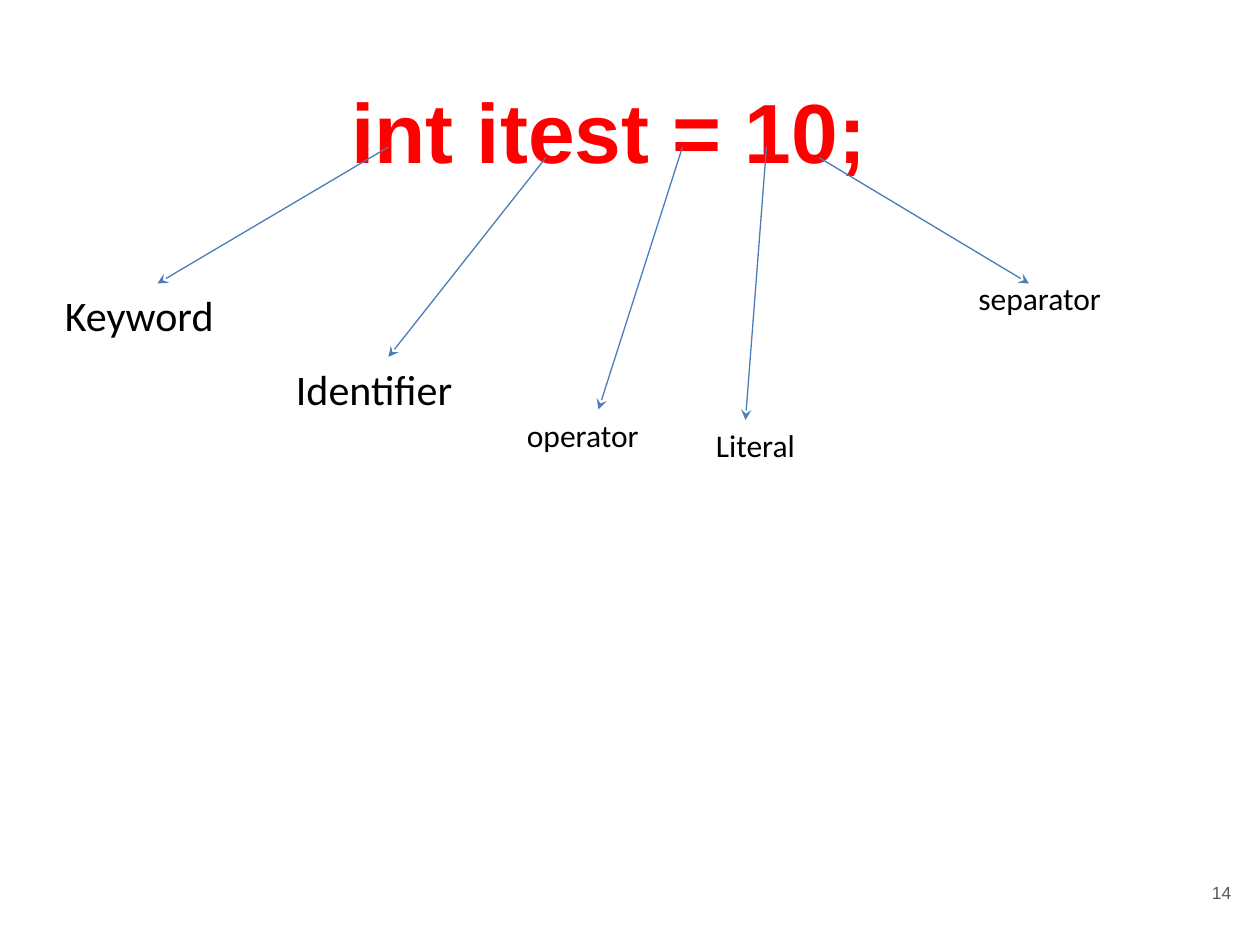
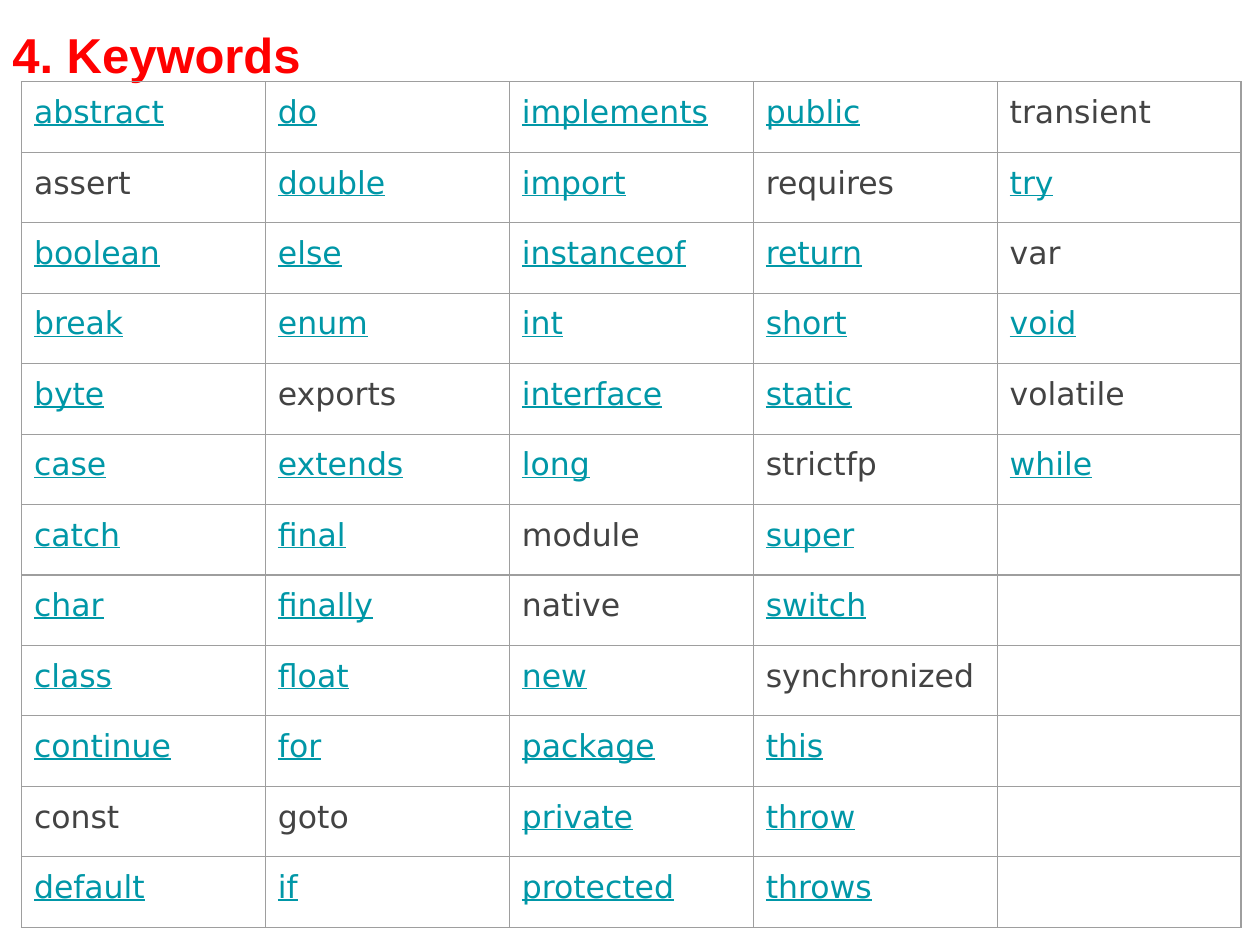
"""Build two slides on Java tokens: a labelled statement and the table of keywords."""
from dataclasses import dataclass

from lxml.etree import SubElement
from pptx import Presentation
from pptx.dml.color import RGBColor
from pptx.enum.shapes import MSO_CONNECTOR as Connector
from pptx.enum.text import MSO_ANCHOR as Anchor, PP_ALIGN as Align
from pptx.oxml.ns import qn
from pptx.util import Inches, Pt


@dataclass(frozen=True)
class Theme:
    heading: str = "FF0000"
    label: str = "000000"
    arrow: str = "4A7DBA"
    number: str = "595959"
    link: str = "0097A7"
    plain: str = "434343"
    border: str = "9E9E9E"
    heading_font: str = "Arial"
    label_font: str = "Calibri"
    table_font: str = "DejaVu Sans"
    statement_size: int = 48
    title_size: int = 28
    large_size: int = 24
    body_size: int = 18
    number_size: int = 10
    line_width: float = 0.75


theme = Theme()
title_style = dict(font=theme.heading_font, color=theme.heading, bold=True, spacing=1.1)

deck = Presentation()
deck.slide_width, deck.slide_height = Inches(10), Inches(7.5)
column, row = deck.slide_width / 120, deck.slide_height / 90
blank = deck.slide_layouts[6]


def write(frame, text, *, size, font, color, bold=False, underline=False,
          align=Align.LEFT, anchor=Anchor.TOP, inset=0.05, spacing=1.0):
    frame.word_wrap = True
    frame.vertical_anchor = anchor
    frame.margin_left = frame.margin_right = Inches(0.1)
    frame.margin_top = frame.margin_bottom = Inches(inset)
    para = frame.paragraphs[0]
    para.alignment = align
    para.line_spacing = spacing
    span = para.add_run()
    span.text = text
    span.font.size, span.font.name = Pt(size), font
    span.font.bold, span.font.underline = bold, underline
    span.font.color.rgb = RGBColor.from_string(color)


def add_box(page, left, top, width, height):
    box = page.shapes.add_textbox(round(left * column), round(top * row),
                                  round(width * column), round(height * row))
    return box.text_frame


page = deck.slides.add_slide(blank)
write(add_box(page, 6, 6, 104, 12), "int itest = 10;", size=theme.statement_size,
      align=Align.CENTER, **title_style)

large = dict(size=theme.large_size, width=20, height=6)
small = dict(size=theme.body_size, width=16, height=4.8)
tokens = [
    ("Keyword", (5, 27), large, (37, 14), (15, 27)),
    ("Identifier", (27, 34), large, (52, 15), (37, 34)),
    ("operator", (49, 39), small, (65, 14), (57, 39)),
    ("Literal", (67, 40), small, (73, 14), (71, 40)),
    ("separator", (92, 26), small, (78, 15), (98, 27)),
]
for name, (left, top), look, start, end in tokens:
    write(add_box(page, left, top, look["width"], look["height"]), name,
          size=look["size"], font=theme.label_font, color=theme.label)
    arrow = page.shapes.add_connector(
        Connector.STRAIGHT, round(start[0] * column), round(start[1] * row),
        round(end[0] * column), round(end[1] * row))
    arrow.line.color.rgb = RGBColor.from_string(theme.arrow)
    arrow.line.width = Pt(theme.line_width)
    SubElement(arrow.line._get_or_add_ln(), qn("a:tailEnd"), type="stealth")
    SubElement(arrow._element.spPr, qn("a:effectLst"))

write(add_box(page, 111.24, 81.6, 7.2, 6.84), "14", size=theme.number_size,
      font=theme.heading_font, color=theme.number, align=Align.RIGHT, anchor=Anchor.MIDDLE)

page = deck.slides.add_slide(blank)
write(add_box(page, 0, 1.2, 120, 88.8), "4. Keywords", size=theme.title_size,
      align=Align.JUSTIFY, **title_style)

keyword_columns = [
    "abstract assert boolean break byte case catch char class continue const default",
    "do double else enum exports extends final finally float for goto if",
    "implements import instanceof int interface long module native new package private protected",
    "public requires return short static strictfp super switch synchronized this throw throws",
    "transient try var void volatile while",
]
unlinked = set("assert exports goto const module native requires strictfp "
               "synchronized transient var volatile".split())
row_count = 12
table = page.shapes.add_table(row_count, len(keyword_columns), Inches(0.17), Inches(0.65),
                              Inches(9.68), Inches(6.71)).table
table.first_row = table.horz_banding = False

for column_index, words in enumerate(keyword_columns):
    keywords = words.split()
    for row_index in range(row_count):
        cell = table.cell(row_index, column_index)
        for edge in ("a:lnL", "a:lnR", "a:lnT", "a:lnB"):
            line = SubElement(cell._tc.get_or_add_tcPr(), qn(edge), w=str(Pt(theme.line_width)))
            fill = SubElement(line, qn("a:solidFill"))
            SubElement(fill, qn("a:srgbClr"), val=theme.border)
        cell.fill.background()
        if row_index < len(keywords):
            keyword = keywords[row_index]
            linked = keyword not in unlinked
            frame = cell.text_frame
            write(frame, keyword, size=theme.body_size, font=theme.table_font,
                  color=theme.link if linked else theme.plain, underline=linked)
            cell.margin_top = cell.margin_bottom = Inches(0.1)
            cell.margin_left = cell.margin_right = Inches(0.1)

deck.save("out.pptx")
